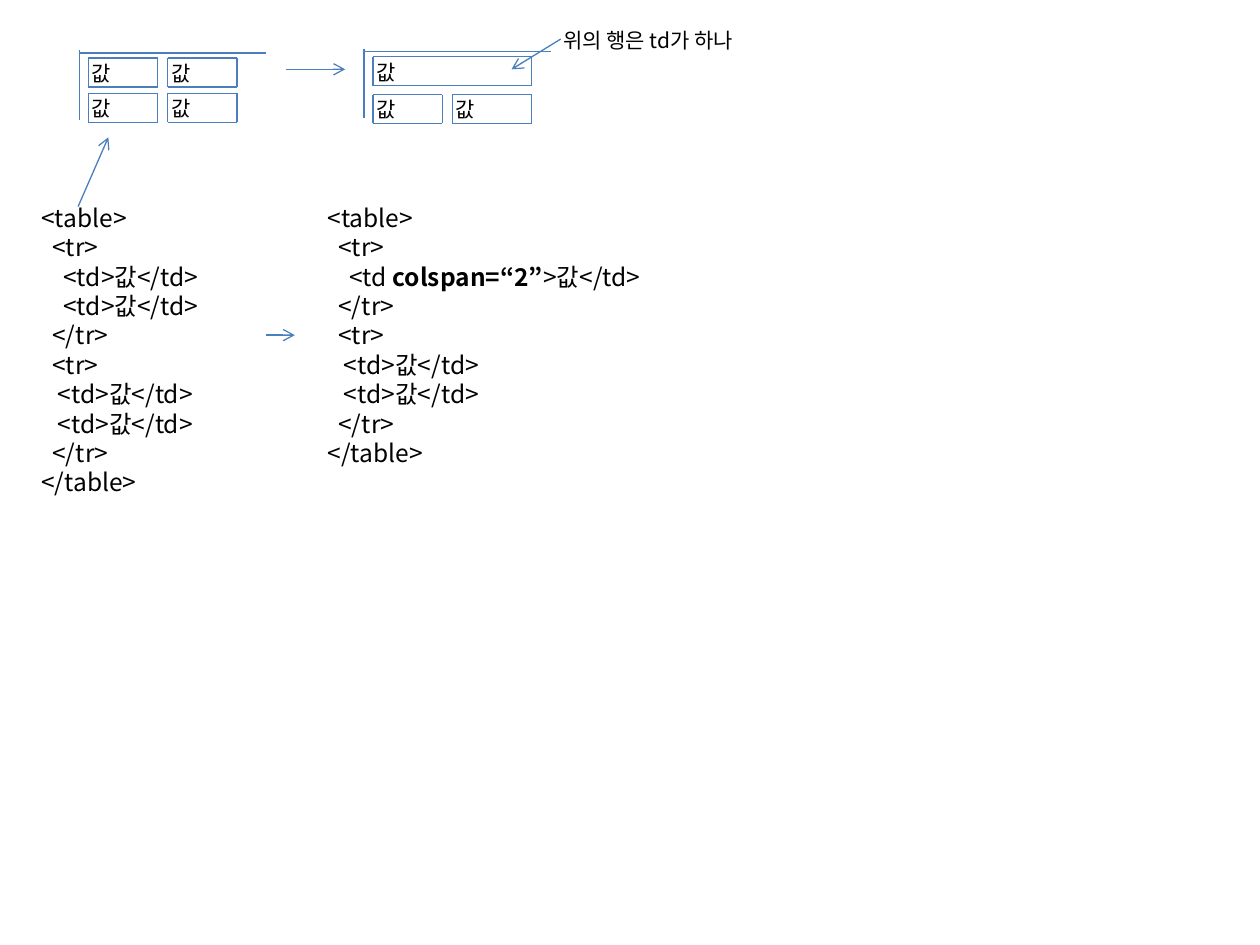
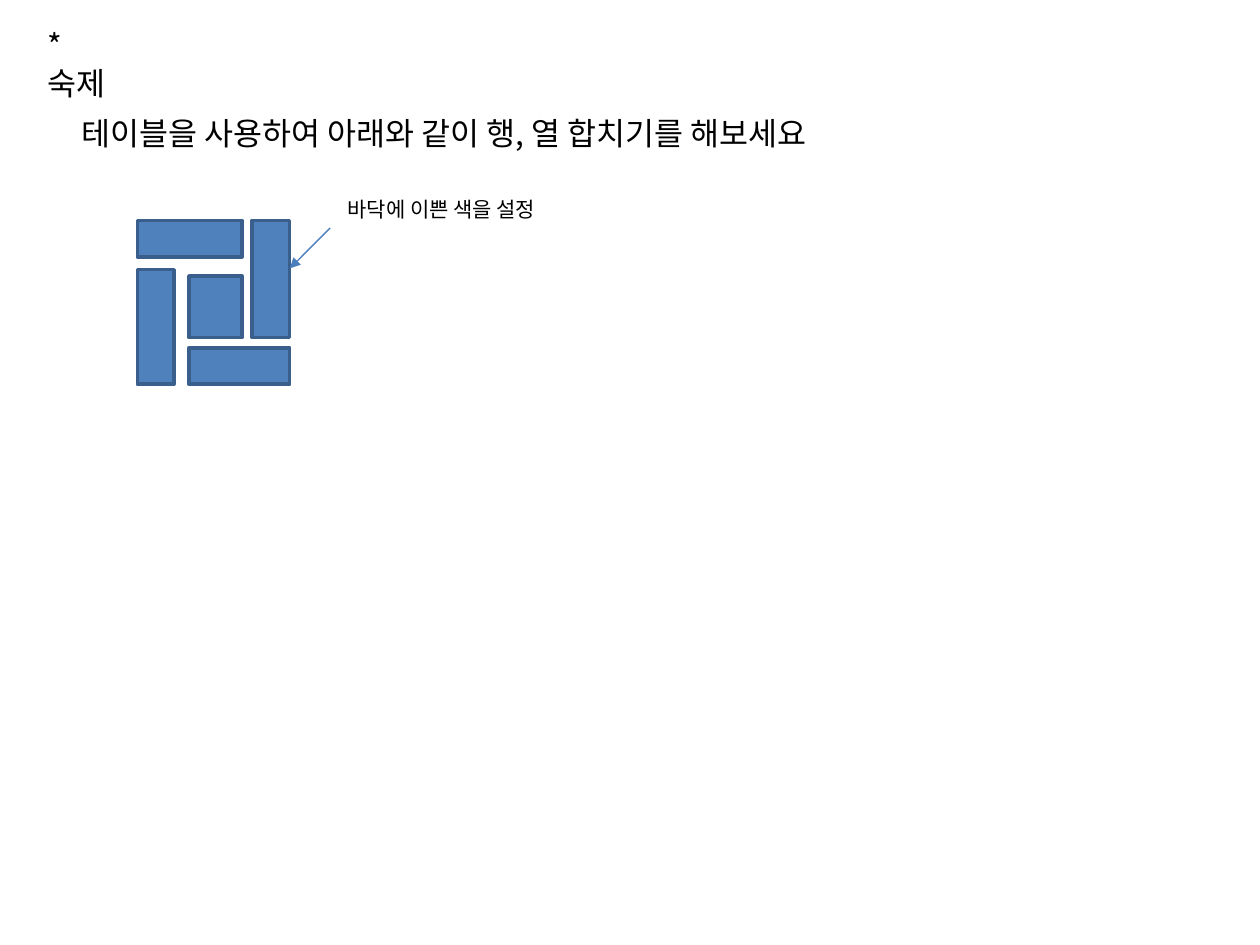
from lxml import etree
from pptx import Presentation
from pptx.dml.color import RGBColor
from pptx.enum.shapes import MSO_CONNECTOR, MSO_SHAPE
from pptx.enum.text import MSO_AUTO_SIZE
from pptx.oxml.ns import qn
from pptx.util import Inches, Pt

STRAIGHT = MSO_CONNECTOR.STRAIGHT
RECTANGLE = MSO_SHAPE.RECTANGLE
FIT_SHAPE = MSO_AUTO_SIZE.SHAPE_TO_FIT_TEXT

FONT = "Noto Sans CJK KR"
INK, LINE, FILL, EDGE = "000000", "4B7EBC", "4F81BD", "3A5F8C"
BLANK_LAYOUT = 6

CELL_WIDTH, CELL_HEIGHT = 0.55, 0.23
COLUMN_STEP = 0.63

TABLE_CODE = """<table>
  <tr>
    <td>값</td>
    <td>값</td>
  </tr>
  <tr>
   <td>값</td>
   <td>값</td>
  </tr>
</table>"""
COLSPAN_CODE = """<table>
  <tr>
    <td **colspan=“2”**>값</td>
  </tr>
  <tr>
   <td>값</td>
   <td>값</td>
  </tr>
</table>"""


def color(value):
    return RGBColor.from_string(value)


def add_text(slide, text, box, size=12):
    """Put one paragraph per line; ** toggles bold and a vertical tab breaks a line."""
    shape = slide.shapes.add_textbox(*map(Inches, box))
    frame = shape.text_frame
    frame.word_wrap = False
    frame.auto_size = FIT_SHAPE
    for index, line in enumerate(text.split("\n")):
        paragraph = frame.add_paragraph() if index else frame.paragraphs[0]
        for row, part in enumerate(line.split("\v")):
            if row:
                paragraph.add_line_break()
            for position, piece in enumerate(part.split("**")):
                run = paragraph.add_run()
                run.text = piece
                run.font.name = FONT
                run.font.size = Pt(size)
                run.font.bold = position % 2 == 1
                run.font.color.rgb = color(INK)


def add_line(slide, start, end, arrowhead=None):
    connector = slide.shapes.add_connector(STRAIGHT, *map(Inches, (*start, *end)))
    connector.line.color.rgb = color(LINE)
    connector.line.width = Pt(0.75)
    if arrowhead:
        tail = etree.SubElement(connector.line._get_or_add_ln(), qn("a:tailEnd"))
        tail.set("type", arrowhead)
    etree.SubElement(connector._element.spPr, qn("a:effectLst"))


def add_cell(slide, left, top, width):
    right, bottom = left + width, top + CELL_HEIGHT
    corners = [(left, top), (right, top), (right, bottom), (left, bottom)]
    for start, end in zip(corners, corners[1:] + corners[:1]):
        add_line(slide, start, end)
    add_text(slide, "값", (left - 0.07, top - 0.03, 0.37, 0.3))


def add_table_sketch(slide, left, top, row_step, cells):
    """Draw the table's two outer edges and its (column, row, width) cells."""
    add_line(slide, (left, top - 0.02), (left, top + 0.53))
    add_line(slide, (left, top), (left + 1.48, top))
    for column, row, width in cells:
        add_cell(slide, left + 0.07 + column * COLUMN_STEP,
                 top + 0.04 + row * row_step, width)


def add_code(slide, code, left, width):
    height = 0.1 + 0.236 * len(code.split("\n"))
    add_text(slide, code, (left, 1.56, width, height), size=14)


def add_pinwheel(slide, left, top):
    """Lay four bars around a centre block, each given by its four edges."""
    bar, inner, gap_left, gap_right = 0.29, 0.41, 0.83, 0.91
    width, height, floor = 1.21, 1.3, 0.93
    blocks = [
        (0, 0, gap_left, bar),
        (gap_right, 0, width, floor),
        (inner, height - bar, width, height),
        (0, 0.39, bar, height),
        (inner, 0.44, gap_left, floor),
    ]
    for x1, y1, x2, y2 in blocks:
        block = slide.shapes.add_shape(
            RECTANGLE, *map(Inches, (left + x1, top + y1, x2 - x1, y2 - y1)))
        block.shadow.inherit = False
        block.fill.solid()
        block.fill.fore_color.rgb = color(FILL)
        block.line.color.rgb = color(EDGE)
        block.line.width = Pt(2)


def build_colspan_slide(slide):
    add_table_sketch(slide, 0.63, 0.42, 0.28, [
        (column, row, CELL_WIDTH) for row in range(2) for column in range(2)])
    add_table_sketch(slide, 2.89, 0.41, 0.3, [
        (0, 0, 2 * COLUMN_STEP), (0, 1, CELL_WIDTH), (1, 1, COLUMN_STEP)])
    add_code(slide, TABLE_CODE, 0.23, 1.66)
    add_code(slide, COLSPAN_CODE, 2.5, 2.88)
    add_text(slide, "위의 행은 td가 하나", (4.37, 0.17, 1.72, 0.3))
    for start, end in [
        ((2.27, 0.55), (2.74, 0.55)),
        ((0.62, 1.64), (0.86, 1.09)),
        ((2.11, 2.66), (2.34, 2.66)),
        ((4.45, 0.31), (4.06, 0.55)),
    ]:
        add_line(slide, start, end, "arrow")


def build_homework_slide(slide):
    add_pinwheel(slide, 1.09, 1.75)
    add_line(slide, (2.62, 1.81), (2.3, 2.13), "triangle")
    add_text(slide, "바닥에 이쁜 색을 설정", (2.66, 1.51, 1.9, 0.3))
    add_text(slide, "테이블을 사용하여 아래와 같이 행, 열 합치기를 해보세요",
             (0.55, 0.86, 6.69, 0.4), size=18)
    add_text(slide, "*\v숙제", (0.28, 0.16, 0.81, 0.71), size=18)


def main():
    presentation = Presentation()
    presentation.slide_width, presentation.slide_height = Inches(10), Inches(7.5)
    for build in (build_colspan_slide, build_homework_slide):
        build(presentation.slides.add_slide(presentation.slide_layouts[BLANK_LAYOUT]))
    presentation.save("out.pptx")


if __name__ == "__main__":
    main()
